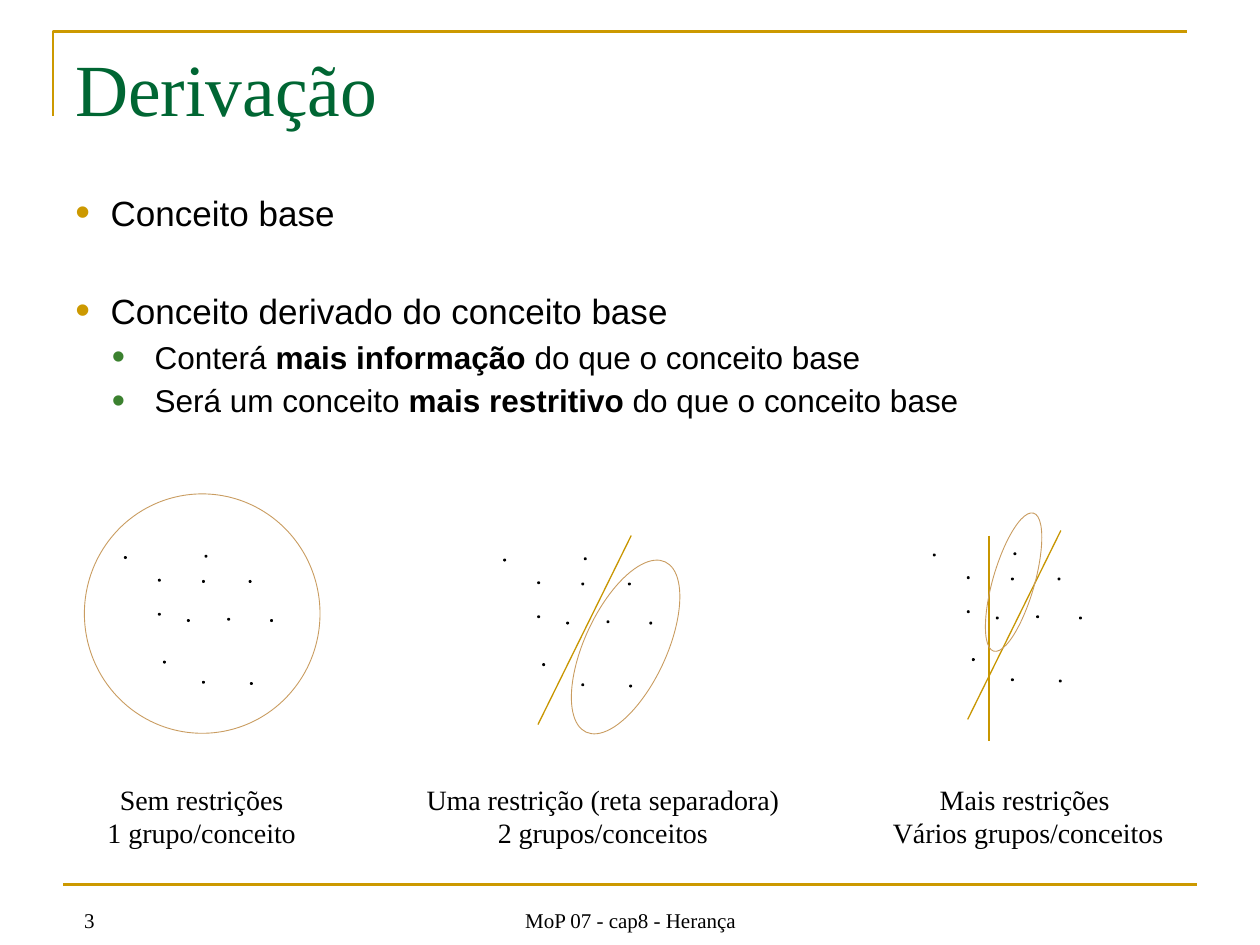
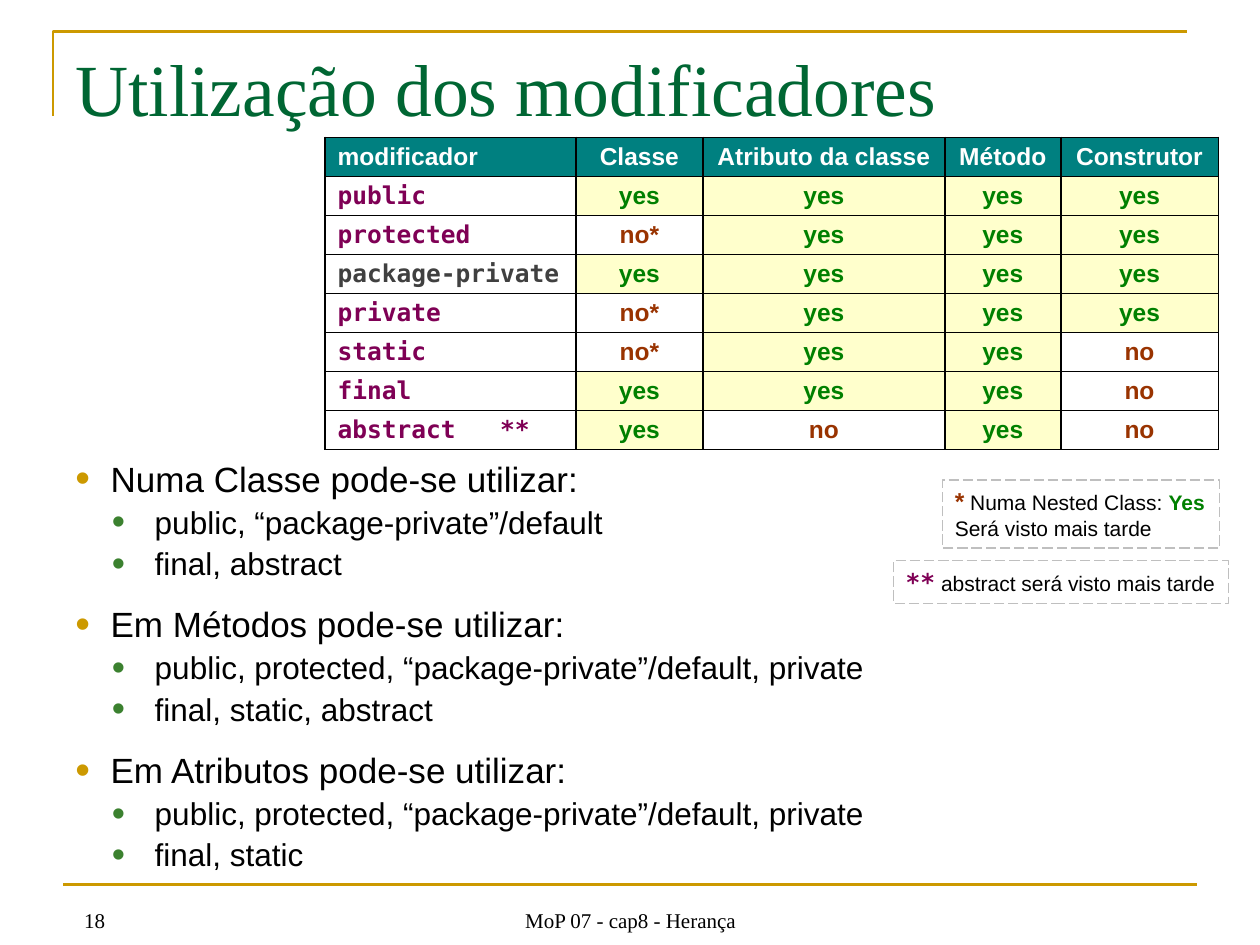
from lxml import etree
from pptx import Presentation
from pptx.dml.color import RGBColor
from pptx.enum import dml, shapes, text as txt
from pptx.oxml import parse_xml
from pptx.oxml.ns import nsdecls, qn
from pptx.util import Pt

PX = 9144  # 100 px to the inch

BLACK = RGBColor(0, 0, 0)
WHITE = RGBColor(255, 255, 255)
GOLD = RGBColor(0xCC, 0x99, 0x00)
OCHRE = RGBColor(0xC8, 0x96, 0x00)
TAN = RGBColor(0xC9, 0x9C, 0x60)
PINE = RGBColor(0x00, 0x66, 0x33)
LEAF = RGBColor(0x3B, 0x81, 0x2F)
LIME = RGBColor(0xCE, 0xE1, 0x9F)
TEAL = RGBColor(0x00, 0x80, 0x80)
GREEN = RGBColor(0x00, 0x80, 0x00)
RUST = RGBColor(0x99, 0x33, 0x00)
PLUM = RGBColor(0x7F, 0x00, 0x55)
DARK = RGBColor(0x40, 0x40, 0x40)
CREAM = RGBColor(0xFF, 0xFF, 0xCC)
SILVER = RGBColor(0xBF, 0xBF, 0xBF)

SANS, SERIF, MONO = "Arial", "Times New Roman", "DejaVu Sans Mono"
CENTER = txt.PP_ALIGN.CENTER
TOP, MIDDLE, BOTTOM = (txt.MSO_ANCHOR.TOP, txt.MSO_ANCHOR.MIDDLE,
                       txt.MSO_ANCHOR.BOTTOM)

DOTS = [(99, 442), (161, 461), (198, 461), (181, 491), (215, 492), (163, 441),
        (199, 542), (130, 525), (149, 492), (126, 487), (161, 541), (126, 460)]
SHIFTS = [(0, 0), (301, 2), (642, -2)]
CUTS = [(501, 425, 427, 575), (842, 421, 768, 571), (785, 425, 785, 588)]
GROUPS = [((67, 392, 187, 190), 0), ((464, 439, 65, 149), 24.9),
          ((788, 405, 33, 114), 16.1)]
LABELS = [((74, 616, 172, 64), ["Sem restrições", "1 grupo/conceito"]),
          ((326, 616, 305, 64),
           ["Uma restrição (reta separadora)", "2 grupos/conceitos"]),
          ((697, 616, 238, 64), ["Mais restrições ", "Vários grupos/conceitos"])]

HEADS = ["modificador", "Classe", "Atributo da classe", "Método", "Construtor"]
COLS = [199, 101, 192, 92, 125]
ROWS = [("public", "yes yes yes yes"), ("protected", "no* yes yes yes"),
        ("package-private", "yes yes yes yes"), ("private", "no* yes yes yes"),
        ("static", "no* yes yes no"), ("final", "yes yes yes no"),
        ("abstract   **", "yes no yes no")]


def emu(box):
    return [round(n * PX) for n in box]


def write(par, runs, size=12, font=SERIF, color=BLACK, bold=False):
    """Fill a paragraph from a string or from (string, changes) pairs."""
    base = dict(size=size, font=font, color=color, bold=bold)
    for words, changes in [(runs, {})] if isinstance(runs, str) else runs:
        look = {**base, **changes}
        run = par.add_run()
        run.text = words
        run.font.size = Pt(look["size"])
        run.font.name = look["font"]
        run.font.color.rgb = look["color"]
        run.font.bold = look["bold"]


def fill(frame, lines, anchor=TOP, align=None, wrap=True, **look):
    frame.word_wrap = wrap
    frame.vertical_anchor = anchor
    if not wrap:
        frame.auto_size = txt.MSO_AUTO_SIZE.SHAPE_TO_FIT_TEXT
    for i, line in enumerate(lines):
        par = frame.add_paragraph() if i else frame.paragraphs[0]
        par.alignment = align
        write(par, line, **look)


def label(slide, box, *lines, **look):
    fill(slide.shapes.add_textbox(*emu(box)).text_frame, lines, **look)


def bullet(par, level, gap):
    par.level = level
    par.space_before = Pt(gap)
    left, hang, color = [(28, -31, GOLD), (63, -34, LEAF)][level]
    props = par._p.get_or_add_pPr()
    props.set("marL", str(left * PX))
    props.set("indent", str(hang * PX))
    props.append(parse_xml(f'<a:buClr {nsdecls("a")}><a:srgbClr val="{color}"/></a:buClr>'))
    for tag, key, value in [("buSzPct", "val", "120000"),
                            ("buFont", "typeface", SANS), ("buChar", "char", "•")]:
        etree.SubElement(props, qn("a:" + tag)).set(key, value)


def outline(slide, box, items):
    """Bulleted body; each item is (level, space before in points, runs)."""
    frame = slide.shapes.add_textbox(*emu(box)).text_frame
    frame.word_wrap = True
    for i, (level, gap, runs) in enumerate(items):
        par = frame.add_paragraph() if i else frame.paragraphs[0]
        bullet(par, level, gap)
        write(par, runs, size=18 if level else 20, font=SANS)


def line(slide, ends, color, width):
    link = slide.shapes.add_connector(shapes.MSO_CONNECTOR.STRAIGHT, *emu(ends))
    link.line.color.rgb = color
    link.line.width = Pt(width)
    etree.SubElement(link._element.spPr, qn("a:effectLst"))


def shape(slide, kind, box, color, width):
    form = slide.shapes.add_shape(kind, *emu(box))
    form.shadow.inherit = False
    form.fill.background()
    form.line.color.rgb = color
    form.line.width = Pt(width)
    return form


def dot(slide, x, y):
    form = shape(slide, shapes.MSO_SHAPE.OVAL, (x, y, 1, 1), BLACK, 1)
    form.fill.solid()
    form.fill.fore_color.rgb = LIME
    tint = form.fill._xPr.find(".//" + qn("a:srgbClr"))
    etree.SubElement(tint, qn("a:alpha"), val="70000")


def note(slide, box, *lines):
    form = shape(slide, shapes.MSO_SHAPE.RECTANGLE, box, SILVER, 0.75)
    form.line.dash_style = dml.MSO_LINE.LONG_DASH
    fill(form.text_frame, lines, wrap=False, align=txt.PP_ALIGN.LEFT, font=SANS)


def cell(spot, words, back, **look):
    props = spot._tc.get_or_add_tcPr()
    for side in "LRTB":
        props.append(parse_xml(
            f'<a:ln{side} {nsdecls("a")} w="12700"><a:solidFill>'
            f'<a:srgbClr val="{BLACK}"/></a:solidFill></a:ln{side}>'))
    spot.fill.solid()
    spot.fill.fore_color.rgb = back
    spot.margin_top = spot.margin_bottom = 3 * PX
    spot.vertical_anchor = MIDDLE
    par = spot.text_frame.paragraphs[0]
    par.alignment = look.pop("align", None)
    write(par, words, size=14, bold=True, **look)


def grid(slide, x, y, high):
    count = len(ROWS) + 1
    box = emu((x, y, sum(COLS), high * count))
    table = slide.shapes.add_table(count, len(COLS), *box).table
    for col, wide in zip(table.columns, COLS):
        col.width = wide * PX
    for row in table.rows:
        row.height = high * PX
    for c, head in enumerate(HEADS):
        cell(table.cell(0, c), head, TEAL, font=SANS, color=WHITE,
             align=CENTER if c else None)
    for r, (name, marks) in enumerate(ROWS, 1):
        cell(table.cell(r, 0), name, WHITE, font=MONO,
             color=DARK if name == "package-private" else PLUM)
        for c, mark in enumerate(marks.split(), 1):
            back, ink = (CREAM, GREEN) if mark == "yes" else (WHITE, RUST)
            cell(table.cell(r, c), mark, back, font=SANS, color=ink, align=CENTER)


def page(deck, title, number):
    """Add a slide with the shared frame, title and footer."""
    slide = deck.slides.add_slide(deck.slide_layouts[6])
    line(slide, (50, 702, 950, 702), GOLD, 1.5)
    corner = slide.shapes.build_freeform(42, 92, scale=PX)
    corner.add_line_segments([(42, 25), (942, 25)], close=False)
    frame = corner.convert_to_shape()
    frame.shadow.inherit = False
    frame.fill.background()
    frame.line.color.rgb = GOLD
    frame.line.width = Pt(1.5)
    label(slide, (57, 715, 38, 30), str(number))
    label(slide, (50, 30, 900, 78), title, size=42, color=PINE, anchor=MIDDLE)
    label(slide, (342, 710, 317, 35), "MoP 07 - cap8 - Herança",
          align=CENTER, anchor=BOTTOM)
    return slide


def derive(deck):
    slide = page(deck, "Derivação", 3)
    bold = {"bold": True}
    tail = ("do que o conceito base", {})
    outline(slide, (50, 147, 900, 240), [
        (0, 4, "Conceito base"),
        (0, 32, "Conceito derivado do conceito base"),
        (1, 3.5, [("Conterá ", {}), ("mais informação ", bold), tail]),
        (1, 3.5, [("Será um conceito ", {}), ("mais restritivo ", bold), tail])])
    for dx, dy in SHIFTS:
        for x, y in DOTS:
            dot(slide, x + dx, y + dy)
    for ends in CUTS:
        line(slide, ends, OCHRE, 0.75)
    for box, turn in GROUPS:
        shape(slide, shapes.MSO_SHAPE.OVAL, box, TAN, 0.5).rotation = turn
    for box, lines in LABELS:
        label(slide, box, *lines, size=16, align=CENTER, wrap=False)


def usage(deck):
    slide = page(deck, "Utilização dos modificadores", 18)
    access = "public, protected, “package-private”/default, private"
    topics = [("Classe", "Numa", "public, “package-private”/default", "final, abstract"),
              ("Métodos", "Em", access, "final, static, abstract"),
              ("Atributos", "Em", access, "final, static")]
    items = []
    for i, (topic, prep, *subs) in enumerate(topics):
        items.append((0, 12 if i else 4, f"{prep} {topic} pode-se utilizar:"))
        items += [(1, 2, sub) for sub in subs]
    outline(slide, (50, 358, 900, 342), items)
    grid(slide, 258, 109, 31)
    note(slide, (748, 381, 220, 54),
         [("*", dict(size=14, color=RUST, bold=True)), (" Numa Nested Class: ", {}),
          ("Yes", dict(color=GREEN, bold=True))],
         "Será visto mais tarde")
    note(slide, (709, 445, 266, 34),
         [("**", dict(size=14, font=MONO, color=PLUM, bold=True)),
          (" abstract será visto mais tarde", {})])


def main():
    deck = Presentation()
    deck.slide_width, deck.slide_height = emu((1000, 750))
    derive(deck)
    usage(deck)
    deck.save("out.pptx")


if __name__ == "__main__":
    main()
